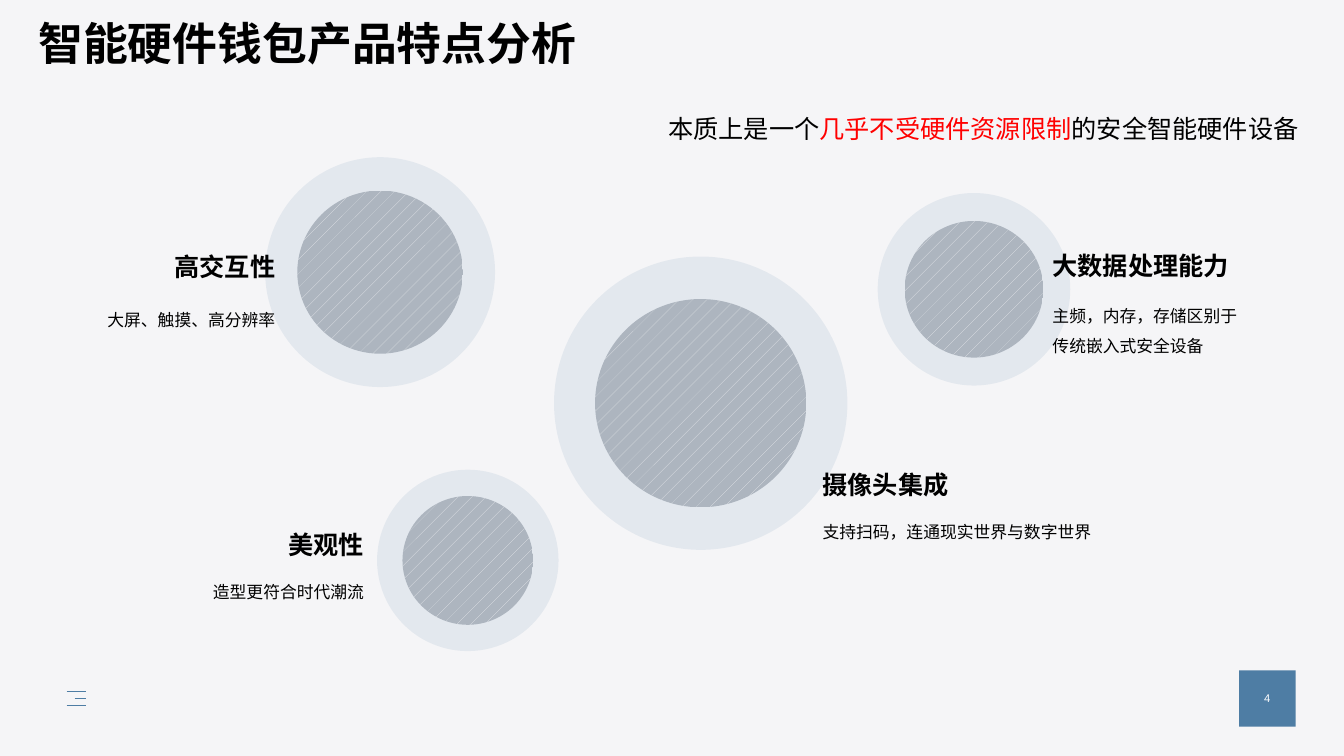
from lxml.etree import SubElement
from pptx import Presentation
from pptx.dml.color import RGBColor
from pptx.enum.dml import MSO_PATTERN
from pptx.enum.shapes import MSO_CONNECTOR, MSO_SHAPE
from pptx.enum.text import MSO_ANCHOR, PP_ALIGN
from pptx.oxml.ns import qn
from pptx.util import Inches, Pt

WIDTH, HEIGHT = 13.33, 7.5
FONT = "Arial"
BLACK, RED, WHITE = "000000", "FF0000", "FFFFFF"
PAPER, BLUE, GREY, STRIPE = "F5F5F7", "4E7DA4", "ADB5BF", "E4E6EA"
INNER_WIDTH, INNER_HEIGHT = 0.72, 0.71  # shares of the ring's diameter

TITLE = "智能硬件钱包产品特点分析"
SUMMARY = [("本质上是一个", BLACK), ("几乎不受硬件资源限制", RED), ("的安全智能硬件设备", BLACK)]
PAGE_NUMBER = "4"

# heading, detail, ring centre and diameter, text side, text edge, text width,
# heading top, detail top, detail height
FEATURES = [
    ("高交互性", "大屏、触摸、高分辨率",
     (3.77, 2.7, 2.28), PP_ALIGN.RIGHT, 2.83, 2.1, 2.44, 2.92, 0.37),
    ("美观性", "造型更符合时代潮流",
     (4.64, 5.56, 1.8), PP_ALIGN.RIGHT, 3.71, 2.98, 5.2, 5.62, 0.37),
    ("摄像头集成", "支持扫码，连通现实世界与数字世界",
     (6.95, 4.0, 2.91), PP_ALIGN.LEFT, 8.06, 3.98, 4.61, 5.03, 0.37),
    ("大数据处理能力", "主频，内存，存储区别于传统嵌入式安全设备",
     (9.66, 2.87, 1.91), PP_ALIGN.LEFT, 10.34, 2.05, 2.43, 2.88, 0.67),
]
MENU_LINES = [(0.66, 6.86), (0.74, 6.93), (0.66, 7.0)]
MENU_RIGHT = 0.85


def color(value):
    return RGBColor.from_string(value)


def style(span, size, value=BLACK, bold=False):
    span.font.name = FONT
    span.font.size = Pt(size)
    span.font.bold = bold
    span.font.color.rgb = color(value)


def add_text(page, box_area, spans, size, align=PP_ALIGN.LEFT, bold=False,
             anchor=MSO_ANCHOR.TOP, spacing=None, wrap=True):
    """Add a one-paragraph text box from (text, colour) spans."""
    box = page.shapes.add_textbox(*map(Inches, box_area))
    frame = box.text_frame
    frame.word_wrap = wrap
    frame.vertical_anchor = anchor
    para = frame.paragraphs[0]
    para.alignment = align
    para.line_spacing = spacing
    for text, value in spans:
        span = para.add_run()
        span.text = text
        style(span, size, value, bold)


def add_plain_shape(page, kind, left, top, width, height):
    shape = page.shapes.add_shape(kind, *map(Inches, (left, top, width, height)))
    shape.shadow.inherit = False
    shape.line.fill.background()
    return shape


def add_ellipse(page, center_x, center_y, width, height):
    return add_plain_shape(page, MSO_SHAPE.OVAL, center_x - width / 2,
                           center_y - height / 2, width, height)


def add_ring(page, center_x, center_y, diameter):
    """Add a pale disc with a hatched disc at its centre."""
    ring = add_ellipse(page, center_x, center_y, diameter, diameter)
    ring.fill.solid()
    ring.fill.fore_color.rgb = color(BLUE)
    tint = next(ring.element.spPr.iter(qn("a:srgbClr")))
    SubElement(tint, qn("a:alpha")).set("val", "10000")

    core = add_ellipse(page, center_x, center_y,
                       diameter * INNER_WIDTH, diameter * INNER_HEIGHT)
    core.fill.patterned()
    core.fill.pattern = MSO_PATTERN.PERCENT_5
    core.fill.fore_color.rgb = color(STRIPE)
    core.fill.back_color.rgb = color(GREY)


def add_feature(page, heading, detail, ring, align, edge, width,
                heading_top, detail_top, detail_height):
    add_ring(page, *ring)
    left = edge - width if align == PP_ALIGN.RIGHT else edge
    add_text(page, (left, heading_top, width, 0.4), [(heading, BLACK)], 18,
             align, bold=True, anchor=MSO_ANCHOR.MIDDLE)
    add_text(page, (left, detail_top, width, detail_height), [(detail, BLACK)], 12,
             align, spacing=1.5)


def add_title(page):
    title = page.shapes.title
    title.left, title.top, title.width, title.height = map(
        Inches, (0.28, 0.17, 11.88, 1.12))
    title.text_frame.text = TITLE
    title.text_frame.vertical_anchor = MSO_ANCHOR.TOP
    para = title.text_frame.paragraphs[0]
    para.alignment = PP_ALIGN.LEFT
    para.line_spacing = 0.9
    style(para.runs[0], 32, bold=True)


def add_footer(page):
    badge = add_plain_shape(page, MSO_SHAPE.RECTANGLE, 12.29, 6.65, 0.56, 0.56)
    badge.fill.solid()
    badge.fill.fore_color.rgb = color(BLUE)
    badge.text_frame.text = PAGE_NUMBER
    badge.text_frame.vertical_anchor = MSO_ANCHOR.MIDDLE
    para = badge.text_frame.paragraphs[0]
    para.alignment = PP_ALIGN.CENTER
    style(para.runs[0], 8, WHITE)
    for left, top in MENU_LINES:
        line = page.shapes.add_connector(
            MSO_CONNECTOR.STRAIGHT, *map(Inches, (left, top, MENU_RIGHT, top)))
        line.line.color.rgb = color(BLUE)
        line.line.width = Pt(0.5)
        SubElement(line.element.spPr, qn("a:effectLst"))


def main():
    deck = Presentation()
    deck.slide_width, deck.slide_height = Inches(WIDTH), Inches(HEIGHT)
    page = deck.slides.add_slide(deck.slide_layouts.get_by_name("Title Only"))
    page.background.fill.solid()
    page.background.fill.fore_color.rgb = color(PAPER)
    add_title(page)
    add_footer(page)
    for feature in FEATURES:
        add_feature(page, *feature)
    add_text(page, (6.53, 1.08, 6.51, 0.4), SUMMARY, 18, wrap=False)
    deck.save("out.pptx")


if __name__ == "__main__":
    main()
